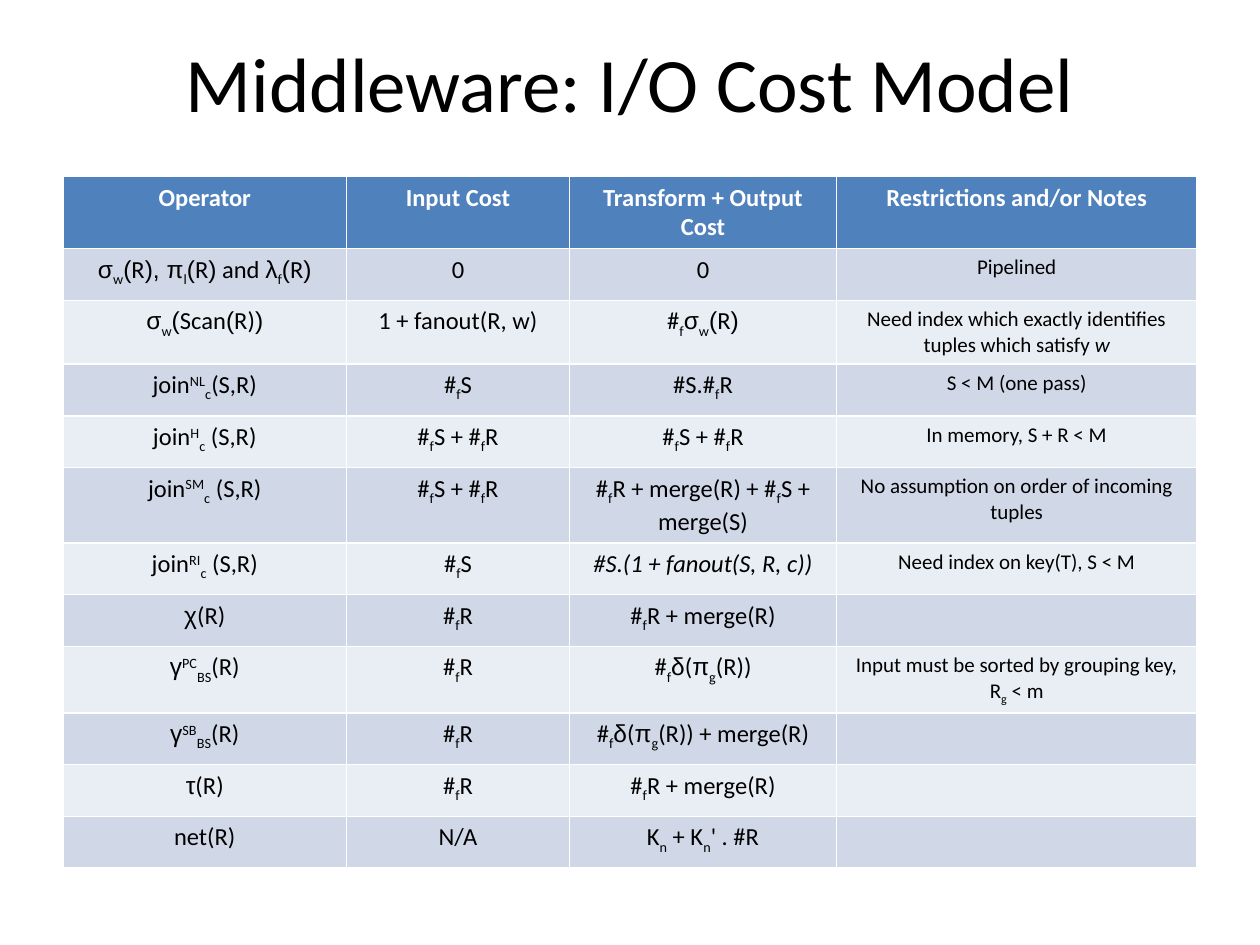
from dataclasses import dataclass

from pptx import Presentation
from pptx.dml.color import RGBColor as Color
from pptx.enum.text import MSO_ANCHOR as Anchor, PP_ALIGN as Align
from pptx.util import Inches, Pt


@dataclass(frozen=True)
class Theme:
    font: str = "Calibri"
    symbol_font: str = "Arial"
    title_size: int = 44
    body_size: int = 14
    note_size: int = 12
    text: str = "000000"
    header_text: str = "FFFFFF"
    header_fill: str = "4F81BD"
    bands: tuple = ("D0D8E8", "E9EDF4")


THEME = Theme()
BASELINES = {"_": "-25000", "^": "30000"}
COLUMN_WIDTHS = (2.25, 1.77, 2.12, 2.86)
ROW_HEIGHT = 0.41

# Runs are separated by "|"; a run's first character may mark its style:
# "_" subscript, "^" superscript, "@" symbol font, "~" italic.
READ_R = "#|_f|R"
READ_S = "#|_f|S"
READ_BOTH = "#|_f|S + #|_f|R"
SORT_R = "#|_f|R + merge(R)"
GROUP_R = "#|_f|@δ|(|@π|_g|(R))"

HEADERS = ("Operator", "Input Cost", "Transform + Output Cost", "Restrictions and/or Notes")
OPERATORS = (
    ("@σ|_w|@(|R|@), π|_l|@(|R|@)| and |@λ|_f|@(|R|@)", "0", "0", "Pipelined"),
    ("@σ|_w|@(|Scan|@(|R)|@)", "1 + fanout(R, w)", "#|_f|@σ|_w|@(|R|@)",
     "Need index which exactly identifies tuples which satisfy |~w"),
    ("join|^NL|_c|(S,R)", READ_S, "#S.#|_f|R", "S < M (one pass)"),
    ("join|^H|_c| (S,R)", READ_BOTH, READ_BOTH, "In memory, S + R < M"),
    ("join|^SM|_c| (S,R)", READ_BOTH, SORT_R + " + #|_f|S + merge(S)",
     "No assumption on order of incoming tuples"),
    ("join|^RI|_c| (S,R)", READ_S, "~#S.(1 + fanout(S, R, c))", "Need index on key(T), S < M"),
    ("@χ|(R)", READ_R, SORT_R, ""),
    ("@γ|^PC|_BS|(R)", READ_R, GROUP_R,
     "Input must be sorted by grouping key,\nR|_g| < m"),
    ("@γ|^SB|_BS|(R)", READ_R, GROUP_R + " + merge(R)", ""),
    ("@τ|(R)", READ_R, SORT_R, ""),
    ("net(R)", "N/A", "K|_n| + K|_n|' . #R", ""),
)


def format_run(run, size, color, bold=False):
    run.font.name = THEME.font
    run.font.size = Pt(size)
    run.font.bold = bold
    run.font.color.rgb = Color.from_string(color)


def add_marked_run(paragraph, piece, size, color, bold):
    """Add one run, styled by its leading mark if it has one."""
    mark = piece[0] if piece[0] in "_^@~" else ""
    run = paragraph.add_run()
    run.text = piece[len(mark):]
    format_run(run, size, color, bold)
    if mark in BASELINES:
        run._r.get_or_add_rPr().set("baseline", BASELINES[mark])
    elif mark == "@":
        run.font.name = THEME.symbol_font
    elif mark == "~":
        run.font.italic = True


def fill_cell(cell, formula, fill, size, color, bold=False):
    cell.fill.solid()
    cell.fill.fore_color.rgb = Color.from_string(fill)
    for index, line in enumerate(formula.split("\n")):
        text_frame = cell.text_frame
        paragraph = text_frame.add_paragraph() if index else text_frame.paragraphs[0]
        paragraph.alignment = Align.CENTER
        for piece in filter(None, line.split("|")):
            add_marked_run(paragraph, piece, size, color, bold)


def set_title(slide, text):
    title = slide.shapes.title
    title.left, title.top = Inches(0.5), Inches(0.02)
    title.width, title.height = Inches(9), Inches(1.25)
    title.text_frame.text = text
    title.text_frame.vertical_anchor = Anchor.MIDDLE
    paragraph = title.text_frame.paragraphs[0]
    paragraph.alignment = Align.CENTER
    format_run(paragraph.runs[0], THEME.title_size, THEME.text)


def add_cost_table(slide):
    row_count = len(OPERATORS) + 1
    table = slide.shapes.add_table(
        row_count, len(HEADERS), Inches(0.5), Inches(1.4),
        Inches(sum(COLUMN_WIDTHS)), Inches(ROW_HEIGHT * row_count)).table
    for column, width in zip(table.columns, COLUMN_WIDTHS):
        column.width = Inches(width)
    for column, header in enumerate(HEADERS):
        fill_cell(table.cell(0, column), header, THEME.header_fill,
                  THEME.body_size, THEME.header_text, bold=True)
    for row, formulas in enumerate(OPERATORS, start=1):
        band = THEME.bands[(row - 1) % 2]
        for column, formula in enumerate(formulas):
            is_note = column == len(HEADERS) - 1
            size = THEME.note_size if is_note else THEME.body_size
            fill_cell(table.cell(row, column), formula, band, size, THEME.text)


def main():
    presentation = Presentation()
    presentation.slide_width, presentation.slide_height = Inches(10), Inches(7.5)
    slide = presentation.slides.add_slide(presentation.slide_layouts[5])
    set_title(slide, "Middleware: I/O Cost Model")
    add_cost_table(slide)
    presentation.save("out.pptx")


if __name__ == "__main__":
    main()
